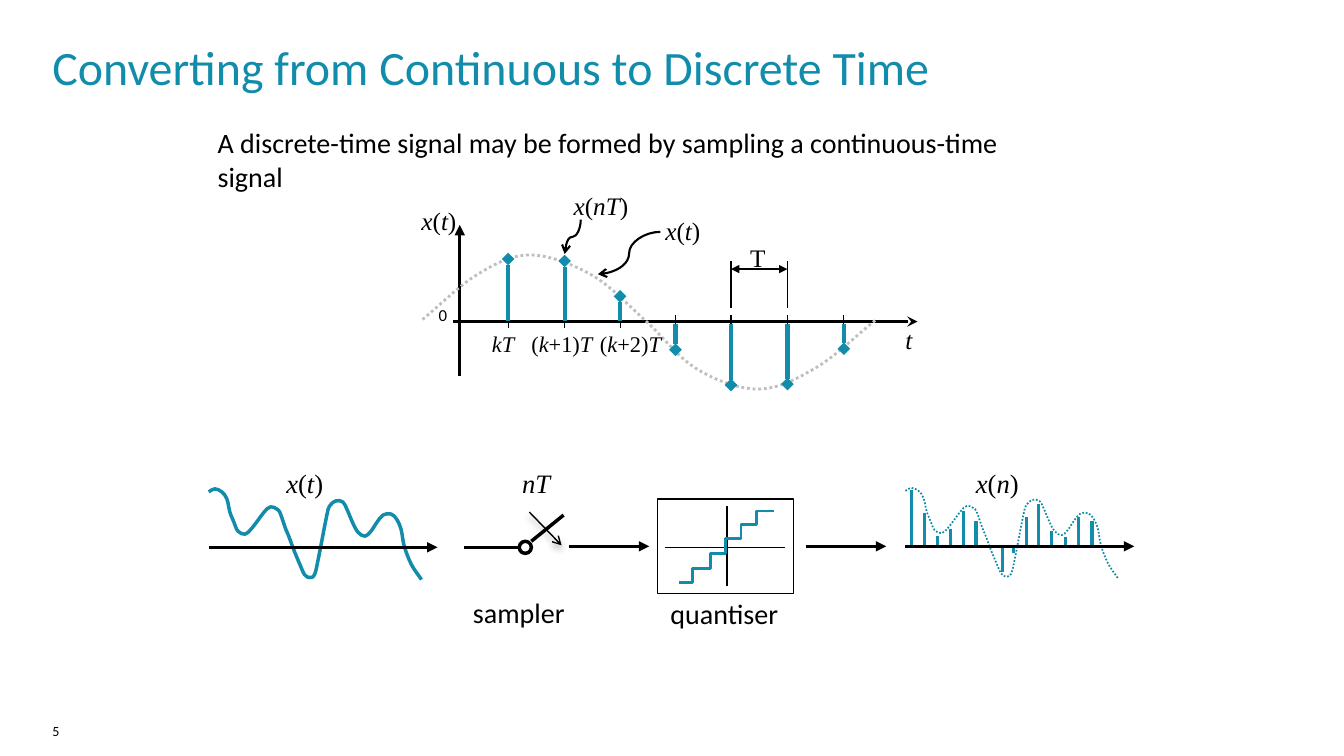
from itertools import groupby

from lxml.etree import SubElement
from pptx import Presentation
from pptx.dml.color import RGBColor
from pptx.enum.dml import MSO_LINE
from pptx.enum.shapes import MSO_CONNECTOR, MSO_SHAPE
from pptx.enum.text import MSO_ANCHOR
from pptx.oxml.ns import qn
from pptx.util import Pt

PX = 9144  # EMU per px, 100 px to the inch
COLORS = {"ink": "000000", "teal": "128CAB", "grey": "BFBFBF", "paper": "FFFFFF"}
SANS, SERIF = "Calibri", "Times New Roman"


class SlideBuilder:
    def __init__(self, slide):
        self.shapes = slide.shapes

    def color(self, name):
        return RGBColor.from_string(COLORS[name])

    def stroke(self, shape, color, width, dash=None):
        shape.line.color.rgb = self.color(color)
        shape.line.width = Pt(width)
        if dash:
            shape.line.dash_style = dash

    def text(self, x, y, w, h, runs, size, font=SANS, color="ink",
             inset=0, wrap=False):
        """Place a text box; runs is a list of (text, italic) pairs."""
        frame = self.shapes.add_textbox(x * PX, y * PX, w * PX, h * PX).text_frame
        frame.word_wrap = wrap
        frame.vertical_anchor = MSO_ANCHOR.TOP
        frame.margin_left = frame.margin_right = inset * PX
        frame.margin_top = frame.margin_bottom = inset * PX // 2
        for words, italic in runs:
            run = frame.paragraphs[0].add_run()
            run.text = words
            run.font.name, run.font.size, run.font.italic = font, Pt(size), italic
            run.font.color.rgb = self.color(color)

    def label(self, x, y, w, h, words, size, **style):
        self.text(x, y, w, h, [(words, False)], size, **style)

    def math(self, x, y, w, h, formula, size=18):
        """Set letters in italics and everything else upright."""
        runs = [("".join(part), letters) for letters, part in groupby(formula, str.isalpha)]
        self.text(x, y, w, h, runs, size, font=SERIF)

    def line(self, x1, y1, x2, y2, width, color="ink", head=None, tail=None,
             kind=MSO_CONNECTOR.STRAIGHT, quarter_turns=0, shadow=False):
        link = self.shapes.add_connector(kind, x1 * PX, y1 * PX, x2 * PX, y2 * PX)
        self.stroke(link, color, width)
        ln = link.line._ln
        for tag, end in (("a:headEnd", head), ("a:tailEnd", tail)):
            if end:
                SubElement(ln, qn(tag), type=end)
        if quarter_turns:
            xfrm = link._element.xpath("./p:spPr/a:xfrm")[0]
            xfrm.set("rot", str(quarter_turns * 5400000))
        effects = SubElement(link._element.spPr, qn("a:effectLst"))
        if shadow:
            outer = SubElement(effects, qn("a:outerShdw"), blurRad=str(Pt(5.2)),
                               dist=str(Pt(3)), dir="5400000", rotWithShape="0")
            tint = SubElement(outer, qn("a:srgbClr"), val=COLORS["ink"])
            SubElement(tint, qn("a:alpha"), val="40000")

    def box(self, preset, x, y, w, h, width):
        shape = self.shapes.add_shape(preset, x * PX, y * PX, w * PX, h * PX)
        shape.shadow.inherit = False
        shape.fill.solid()
        shape.fill.fore_color.rgb = self.color("paper")
        self.stroke(shape, "ink", width)

    def polyline(self, points, width, color, dash=None):
        points = [(x * PX, y * PX) for x, y in points]
        outline = self.shapes.build_freeform(*points[0], scale=1.0)
        outline.add_line_segments(points[1:], close=False)
        shape = outline.convert_to_shape()
        shape.shadow.inherit = False
        shape.fill.background()
        self.stroke(shape, color, width, dash)
        return shape

    def spline(self, points, width, color, dash=None):
        """Draw a Catmull-Rom curve through the points as cubic Béziers."""
        shape = self.polyline(points, width, color, dash)
        left, top = (min(axis) for axis in zip(*points))
        pts = [((x - left) * PX, (y - top) * PX) for x, y in points]

        def beyond(end, inner):
            return 2 * end[0] - inner[0], 2 * end[1] - inner[1]

        pts = [beyond(pts[0], pts[1]), *pts, beyond(pts[-1], pts[-2])]
        segments = shape._element.xpath(".//a:lnTo")
        for segment, a, b, c, d in zip(segments, pts, pts[1:], pts[2:], pts[3:]):
            segment.tag = qn("a:cubicBezTo")
            segment.remove(segment[0])
            leave = [q + (r - p) / 6 for p, q, r in zip(a, b, c)]
            arrive = [q - (r - p) / 6 for p, q, r in zip(b, c, d)]
            for x, y in (leave, arrive, c):
                SubElement(segment, qn("a:pt"), x=str(round(x)), y=str(round(y)))


SINE = [(419, 317), (474, 272), (526, 253), (587, 273), (640, 318),
        (691, 366), (752, 386), (809, 365), (868, 318)]
SIGNAL = [(207, 488), (213, 485), (220, 488), (225, 495), (228, 508), (232, 518),
          (236, 527), (243, 530), (249, 525), (256, 516), (262, 508), (268, 503),
          (276, 506), (280, 515), (283, 524), (286, 531), (289, 539), (292, 547),
          (297, 559), (302, 570), (307, 573), (312, 570), (316, 553), (324, 512),
          (327, 502), (333, 497), (340, 498), (344, 505), (350, 519), (355, 528),
          (362, 532), (368, 527), (374, 518), (380, 511), (388, 510), (394, 516),
          (398, 526), (401, 542), (408, 560), (418, 575)]
SINE_SAMPLES = [(504, 257), (560, 259), (615, 294), (670, 347),
                (725, 382), (781, 381), (837, 346)]
SIGNAL_SAMPLES = [(904, 486), (917, 509), (930, 532), (943, 525), (956, 507),
                  (968, 517), (994, 567), (1005, 549), (1018, 513), (1030, 500),
                  (1043, 527), (1057, 533), (1070, 513), (1083, 517)]
STEP_X = [673, 687, 705, 720, 735, 750, 768]
STEP_Y = [578, 564, 549, 534, 520, 507]


def draw_sampling_plot(s):
    s.line(456, 223, 456, 373, 2.5, head="triangle")
    s.line(449, 319, 910, 319, 2.5, tail="stealth")
    s.spline(SINE, 2, "grey", MSO_LINE.ROUND_DOT)
    for x, y in SINE_SAMPLES:
        s.line(x, 313, x, 325, 0.75)
        if y < 319:
            s.line(x, y, x, 318, 3, "teal", head="diamond")
        else:
            s.line(x, 321, x, y, 3, "teal", tail="diamond")
    s.math(898, 322, 17, 28, "t")
    s.label(435, 302, 17, 28, "0", 12)
    s.math(418, 204, 69, 28, "x(t)")
    s.math(488, 327, 27, 28, "kT", 16)
    s.math(527, 328, 68, 27, "(k+1)T", 16)
    s.math(595, 328, 68, 27, "(k+2)T", 16)
    s.label(744, 240, 27, 28, "T", 18, font=SERIF)
    for x in (725, 781):
        s.line(x, 306, x, 259, 1)
    s.line(725, 267, 781, 267, 1, head="triangle", tail="triangle")
    s.math(660, 214, 47, 28, "x(t)")
    s.line(655, 230, 593, 272, 1.5, tail="arrow", kind=MSO_CONNECTOR.CURVE)
    s.math(569, 189, 70, 28, "x(nT)")
    s.line(551, 227, 585, 243, 1.5, tail="arrow", kind=MSO_CONNECTOR.CURVE,
           quarter_turns=1)


def draw_conversion_chain(s):
    s.spline(SIGNAL, 2.5, "teal")
    s.line(207, 543, 434, 543, 2.5, tail="triangle")
    s.math(284, 463, 46, 32, "x(t)", 19)

    s.line(460, 543, 515, 543, 2.5)
    s.box(MSO_SHAPE.OVAL, 515, 537, 12, 12, 2.5)
    s.line(527, 537, 559, 511, 2.5)
    s.line(525, 508, 557, 541, 1, tail="arrow", shadow=True)
    s.math(518, 463, 46, 32, "nT", 19)
    s.label(469, 591, 131, 34, "sampler", 20)
    s.line(564, 542, 644, 542, 2.5, tail="triangle")

    s.box(MSO_SHAPE.RECTANGLE, 652, 495, 135, 94, 1.13)
    s.line(660, 543, 779, 543, 1)
    s.line(721, 581, 721, 502, 1)
    treads = zip(STEP_X, STEP_X[1:], STEP_Y)
    s.polyline([(x, y) for start, end, y in treads for x in (start, end)], 2, "teal")
    s.label(665, 592, 131, 34, "quantiser", 20)
    s.line(799, 542, 879, 542, 2.5, tail="triangle")

    s.spline([(x + 691, y - 1) for x, y in SIGNAL], 1.25, "teal", MSO_LINE.ROUND_DOT)
    s.line(898, 542, 1125, 542, 2.5, tail="triangle")
    for x, y in SIGNAL_SAMPLES:
        s.line(x, y, x, 541 if y < 542 else 544, 2.25, "teal")
    s.math(968, 463, 50, 32, "x(n)", 19)


def main():
    deck = Presentation()
    deck.slide_width, deck.slide_height = 1333 * PX, 750 * PX
    s = SlideBuilder(deck.slides.add_slide(deck.slide_layouts[6]))
    s.label(52, 717, 142, 26, "5", 10)
    s.label(52, 37, 1220, 63, "Converting from Continuous to Discrete Time", 34.2,
            color="teal", wrap=True)
    s.label(206, 120, 855, 44,
            "A discrete-time signal may be formed by sampling a continuous-time signal",
            20, inset=10, wrap=True)
    draw_sampling_plot(s)
    draw_conversion_chain(s)
    deck.save("out.pptx")


if __name__ == "__main__":
    main()
